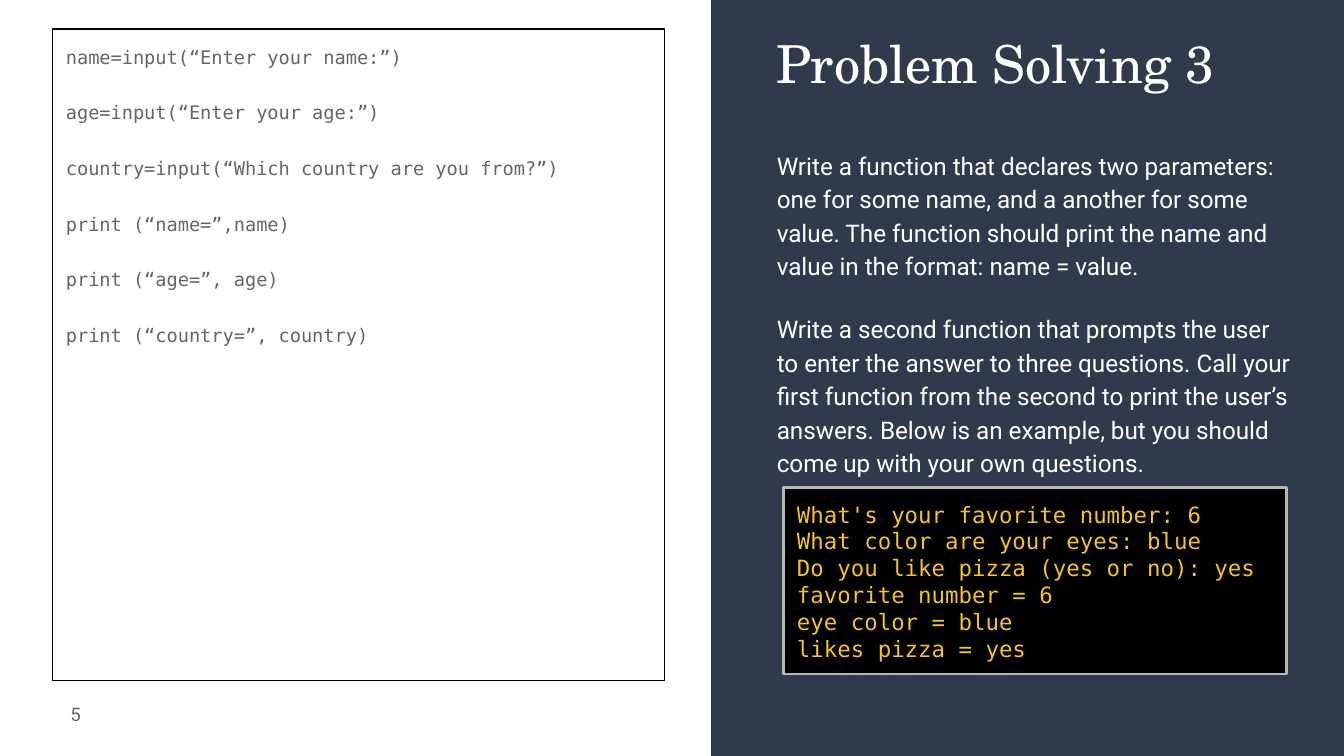
"""Build a coding-exercise slide with code, task and sample run."""

from dataclasses import dataclass
from typing import Optional

from lxml import etree
from pptx import Presentation
from pptx import util as u
from pptx.dml.color import RGBColor
from pptx.enum import shapes, text
from pptx.oxml.ns import qn

HUES = {"navy": "31394D", "white": "FFFFFF", "gray": "666666",
        "black": "000000", "edge": "B7B7B7", "gold": "F1C232"}
MONO, SANS, SERIF = "DejaVu Sans Mono", "Roboto", "TeX Gyre Schola"
UNIT = u.Inches(0.1)
COLS, ROWS = 100, 56.25


@dataclass
class Box:
    col: float
    row: float
    wide: float
    high: float


@dataclass
class Style:
    font: str
    size: float
    hue: str
    lead: float = 1.0
    above: float = 0
    below: float = 0
    align: int = text.PP_ALIGN.LEFT
    anchor: int = text.MSO_ANCHOR.TOP


def grid(*cells: float) -> list[int]:
    return [round(cell * UNIT) for cell in cells]


def tint(name: str) -> RGBColor:
    return RGBColor.from_string(HUES[name])


def place(shape, box: Box) -> None:
    shape.left, shape.top, shape.width, shape.height = grid(
        box.col, box.row, box.wide, box.high)


def paint(shape, fill: Optional[str], line: Optional[str] = None, width: float = 0) -> None:
    if fill:
        shape.fill.solid()
        shape.fill.fore_color.rgb = tint(fill)
    else:
        shape.fill.background()
    if line:
        shape.line.color.rgb = tint(line)
        shape.line.width = u.Pt(width)
    else:
        shape.line.fill.background()


def write(shape, lines: list[str], style: Style) -> None:
    frame = shape.text_frame
    frame.word_wrap = True
    frame.auto_size = text.MSO_AUTO_SIZE.NONE
    frame.vertical_anchor = style.anchor
    frame.margin_left = frame.margin_right = UNIT
    frame.margin_top = frame.margin_bottom = UNIT
    for i, line in enumerate(lines):
        para = frame.add_paragraph() if i else frame.paragraphs[0]
        para.alignment = style.align
        para.line_spacing = style.lead
        para.space_before = u.Pt(style.above if i else 0)
        para.space_after = u.Pt(style.below)
        props = para._p.get_or_add_pPr()
        props.set("marL", "0")
        props.set("indent", "0")
        etree.SubElement(props, qn("a:buNone"))
        run = para.add_run()
        run.text = line
        run.font.name = style.font
        run.font.size = u.Pt(style.size)
        run.font.color.rgb = tint(style.hue)


def block(slide, box: Box, fill: str, line: Optional[str] = None, width: float = 0):
    shape = slide.shapes.add_shape(
        shapes.MSO_SHAPE.RECTANGLE, *grid(box.col, box.row, box.wide, box.high))
    shape.shadow.inherit = False
    paint(shape, fill, line, width)
    return shape


def panel(slide) -> None:
    left, right = 52.92, COLS + 0.1
    base = block(slide, Box(left, 0, right - left, ROWS), "navy")
    pen = slide.shapes.build_freeform(*grid(left, 0))
    pen.add_line_segments(
        [tuple(grid(*spot)) for spot in ((right, 0), (right, 38.4), (left, 53.4))])
    slant = pen.convert_to_shape()
    slant.shadow.inherit = False
    paint(slant, "navy")
    tree = base.element.getparent()
    tree.insert(2, base.element)
    tree.insert(3, slant.element)


def main() -> None:
    deck = Presentation()
    deck.slide_width, deck.slide_height = grid(COLS, ROWS)
    slide = deck.slides.add_slide(deck.slide_layouts[3])
    title, code, task = slide.placeholders
    panel(slide)

    place(title, Box(56.75, 1.3, 40.5, 7))
    write(title, ["Problem Solving 3"], Style(SERIF, 28, "white"))

    place(code, Box(3.9, 2.15, 45.55, 48.5))
    paint(code, None, "black", 0.75)
    write(code, [
        "name=input(“Enter your name:”)",
        "age=input(“Enter your age:”)",
        "country=input(“Which country are you from?”)",
        "print (“name=”,name)",
        "print (“age=”, age)",
        "print (“country=”, country)",
    ], Style(MONO, 10, "gray", lead=1.15, below=16))

    place(task, Box(56.8, 9.9, 40.5, 26.3))
    write(task, [
        "Write a function that declares two parameters: one for some name, and a "
        "another for some value. The function should print the name and value in "
        "the format: name = value.",
        "Write a second function that prompts the user to enter the answer to three "
        "questions. Call your first function from the second to print the user’s "
        "answers. Below is an example, but you should come up with your own questions.",
    ], Style(SANS, 13, "white", lead=1.15, above=16))

    shell = block(slide, Box(58.32, 36.25, 37.4, 13.9), "black", "edge", 1.5)
    write(shell, [
        "What's your favorite number: 6",
        "What color are your eyes: blue",
        "Do you like pizza (yes or no): yes",
        "favorite number = 6",
        "eye color = blue",
        "likes pizza = yes",
    ], Style(MONO, 12, "gold"))

    page = slide.shapes.add_textbox(*grid(1, 51, 6, 4.3))
    write(page, ["5"], Style(SANS, 10, "gray", align=text.PP_ALIGN.RIGHT,
                             anchor=text.MSO_ANCHOR.MIDDLE))
    deck.save("out.pptx")


if __name__ == "__main__":
    main()
